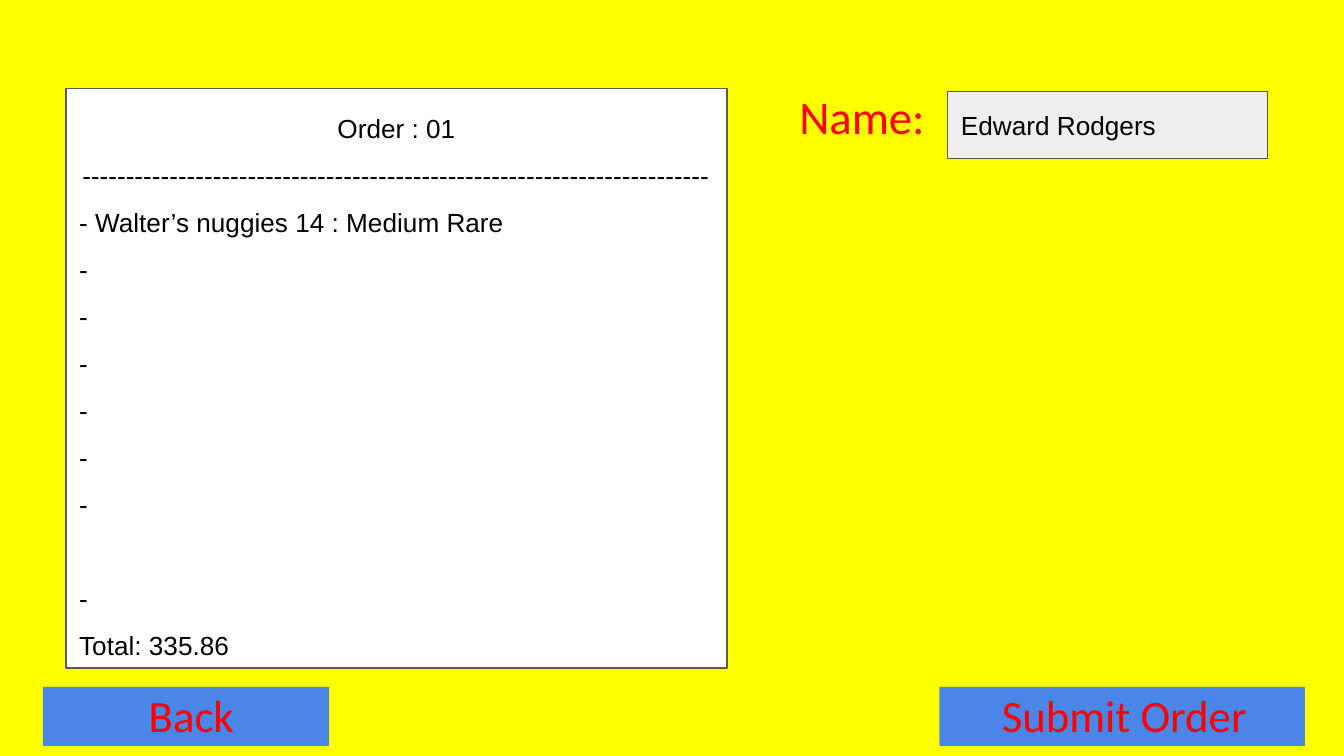
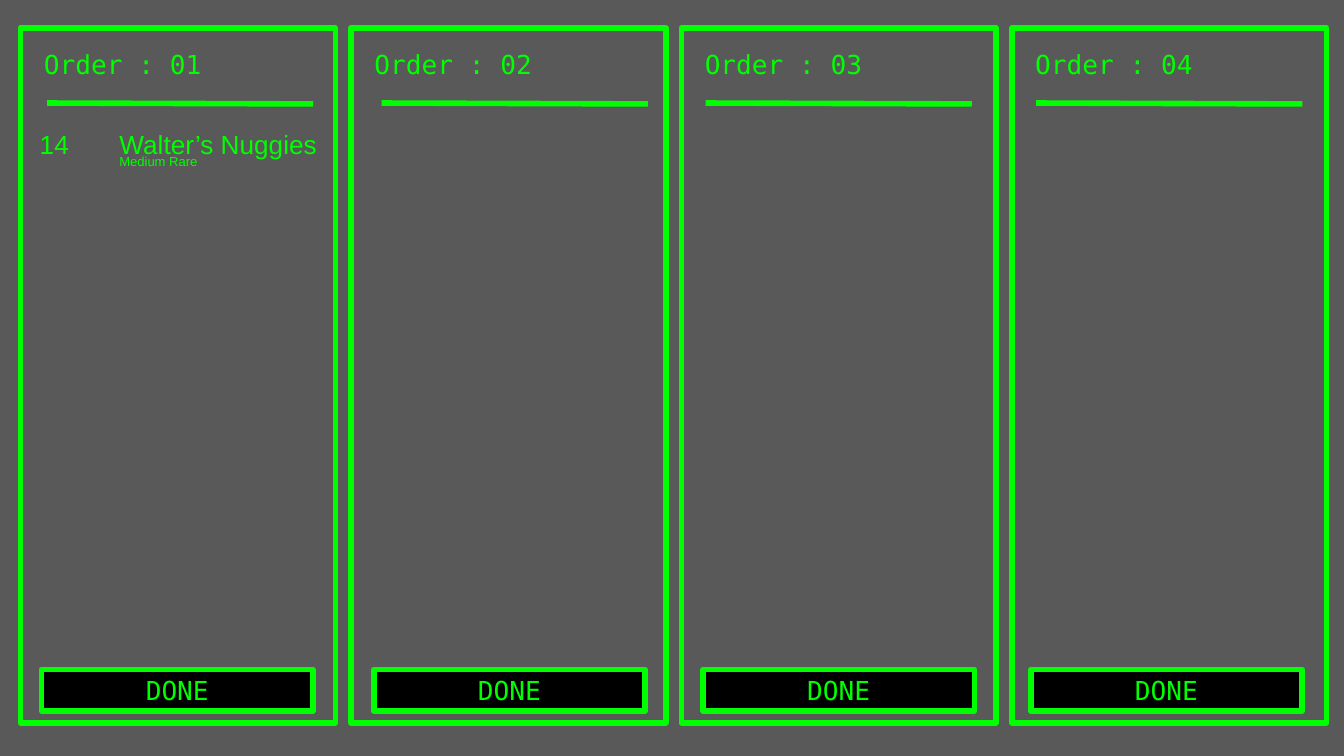
from dataclasses import dataclass
from typing import NamedTuple, Optional

from lxml.etree import SubElement
from pptx import Presentation
from pptx.dml.color import RGBColor
from pptx.enum.shapes import MSO_CONNECTOR as Link, MSO_SHAPE as Form
from pptx.enum.text import MSO_ANCHOR as Anchor, MSO_AUTO_SIZE as Fit, PP_ALIGN as Align
from pptx.oxml.ns import qn
from pptx.slide import Slide
from pptx.text.text import TextFrame
from pptx.util import Pt

# Colours
YELLOW = RGBColor(0xFF, 0xFF, 0x00)
RED = RGBColor(0xFF, 0x00, 0x00)
BLUE = RGBColor(0x4A, 0x86, 0xE8)
GREEN = RGBColor(0x00, 0xFF, 0x00)
GREY = RGBColor(0x59, 0x59, 0x59)
PALE = RGBColor(0xEE, 0xEE, 0xEE)
WHITE = RGBColor(0xFF, 0xFF, 0xFF)
BLACK = RGBColor(0x00, 0x00, 0x00)

INSET = 7.2
PITCH = 177      # step from one order panel to the next
TAB = 42.7       # where a dish name starts after its quantity
LINE = 25        # height of one receipt line


class Area(NamedTuple):
    left: float
    top: float
    width: float
    height: float


class Style(NamedTuple):
    font: str
    size: float
    color: RGBColor


class Row(NamedTuple):
    text: str
    align: Align = Align.LEFT
    before: float = 0


@dataclass
class Button:
    text: str
    box: Area
    label: Area


class Order(NamedTuple):
    number: str
    rule: float
    done: float


LABEL = Style("Calibri", 24, RED)
FIELD = Style("Calibri", 25, RED)
PLAIN = Style("Arial", 14, BLACK)
MONO = Style("DejaVu Sans Mono", 14, GREEN)
DISH = Style("Arial", 14, GREEN)
NOTE = Style("Arial", 7, GREEN)

RECEIPT = [
    Row("Order : 01", Align.CENTER),
    Row("-" * 72, Align.CENTER),
    Row("- Walter’s nuggies 14 : Medium Rare"),
    *[Row("-")] * 6,
    Row("-", before=LINE),
    Row("Total: 335.86"),
]

BUTTONS = [
    Button("Submit Order", Area(503.3, 368, 195.8, 31.6), Area(501.8, 361.5, 201, 44)),
    Button("Back", Area(23, 368, 153.4, 31.6), Area(14, 361.5, 177, 44)),
]

ORDERS = [
    Order("01", 25.2, 22.3),
    Order("02", 204.5, 200.2),
    Order("03", 378, 376.6),
    Order("04", 555.1, 552.2),
]


def fill_text(frame: TextFrame, rows: list[Row], style: Style, space: float = 1) -> None:
    frame.word_wrap = True
    frame.margin_left = frame.margin_right = Pt(INSET)
    frame.margin_top = frame.margin_bottom = Pt(INSET)
    for i, row in enumerate(rows):
        para = frame.add_paragraph() if i else frame.paragraphs[0]
        para.alignment = row.align
        para.line_spacing = space
        if row.before:
            para.space_before = Pt(row.before)
        if "\t" in row.text:
            tabs = SubElement(para._p.get_or_add_pPr(), qn("a:tabLst"))
            SubElement(tabs, qn("a:tab"), pos=str(Pt(TAB)), algn="l")
        run = para.add_run()
        run.text = row.text
        run.font.name = style.font
        run.font.size = Pt(style.size)
        run.font.color.rgb = style.color


def add_box(slide: Slide, area: Area, fill: RGBColor,
            line: Optional[RGBColor] = None, weight: float = 0.75) -> TextFrame:
    box = slide.shapes.add_shape(Form.RECTANGLE, *map(Pt, area))
    box.shadow.inherit = False
    box.fill.solid()
    box.fill.fore_color.rgb = fill
    if line is None:
        box.line.fill.background()
    else:
        box.line.color.rgb = line
        box.line.width = Pt(weight)
    box.text_frame.vertical_anchor = Anchor.MIDDLE
    return box.text_frame


def add_text(slide: Slide, area: Area, row: Row, style: Style) -> None:
    frame = slide.shapes.add_textbox(*map(Pt, area)).text_frame
    fill_text(frame, [row], style)
    frame.auto_size = Fit.SHAPE_TO_FIT_TEXT


def add_rule(slide: Slide, left: float) -> None:
    ends = (left, 55.2, left + 142.6, 55.7)
    rule = slide.shapes.add_connector(Link.STRAIGHT, *map(Pt, ends))
    rule.line.color.rgb = GREEN
    rule.line.width = Pt(3)
    SubElement(rule._element.spPr, qn("a:effectLst"))


def add_slide(deck: Presentation, color: RGBColor) -> Slide:
    slide = deck.slides.add_slide(deck.slide_layouts[6])
    slide.background.fill.solid()
    slide.background.fill.fore_color.rgb = color
    return slide


def draw_form(slide: Slide) -> None:
    # Receipt
    paper = add_box(slide, Area(35.3, 47.5, 354.2, 310.3), WHITE, GREY)
    fill_text(paper, RECEIPT, PLAIN, 1.5)

    # Customer name
    add_text(slide, Area(421.2, 39.6, 89.3, 44.6), Row("Name:"), FIELD)
    name = add_box(slide, Area(507.7, 49.2, 171.2, 35.6), PALE, GREY)
    fill_text(name, [Row("Edward Rodgers")], PLAIN)

    # Buttons
    for button in BUTTONS:
        add_box(slide, button.box, BLUE)
        add_text(slide, button.label, Row(button.text, Align.CENTER), LABEL)


def draw_board(slide: Slide) -> None:
    # Order panels
    for i, order in enumerate(ORDERS):
        left = 11 + i * PITCH
        add_box(slide, Area(left, 15, 168.7, 372.3), GREY, GREEN, 3)
        add_text(slide, Area(left + 5.5, 18.7, 158.4, 31.7),
                 Row(f"Order : {order.number}"), MONO)
        add_rule(slide, order.rule)
        done = add_box(slide, Area(order.done, 358.7, 145.4, 22.3), BLACK, GREEN, 3)
        fill_text(done, [Row("DONE", Align.CENTER)], MONO)

    # Dishes of the first order
    add_text(slide, Area(14.2, 61.4, 173.5, 31.7), Row("14\tWalter’s Nuggies"), DISH)
    add_text(slide, Area(56.9, 77.8, 136.8, 23), Row("Medium Rare"), NOTE)


def main() -> None:
    deck = Presentation()
    deck.slide_width, deck.slide_height = Pt(720), Pt(405)
    draw_form(add_slide(deck, YELLOW))
    draw_board(add_slide(deck, GREY))
    deck.save("out.pptx")


if __name__ == "__main__":
    main()
